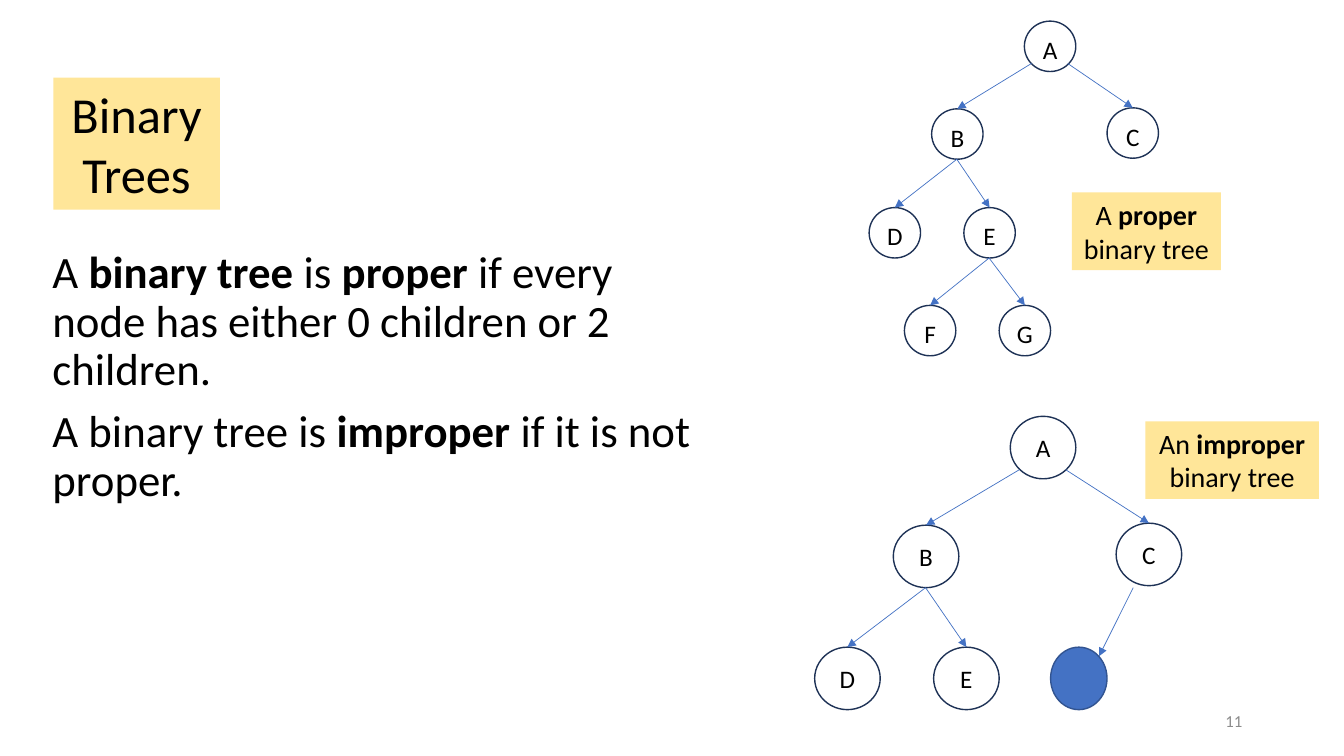
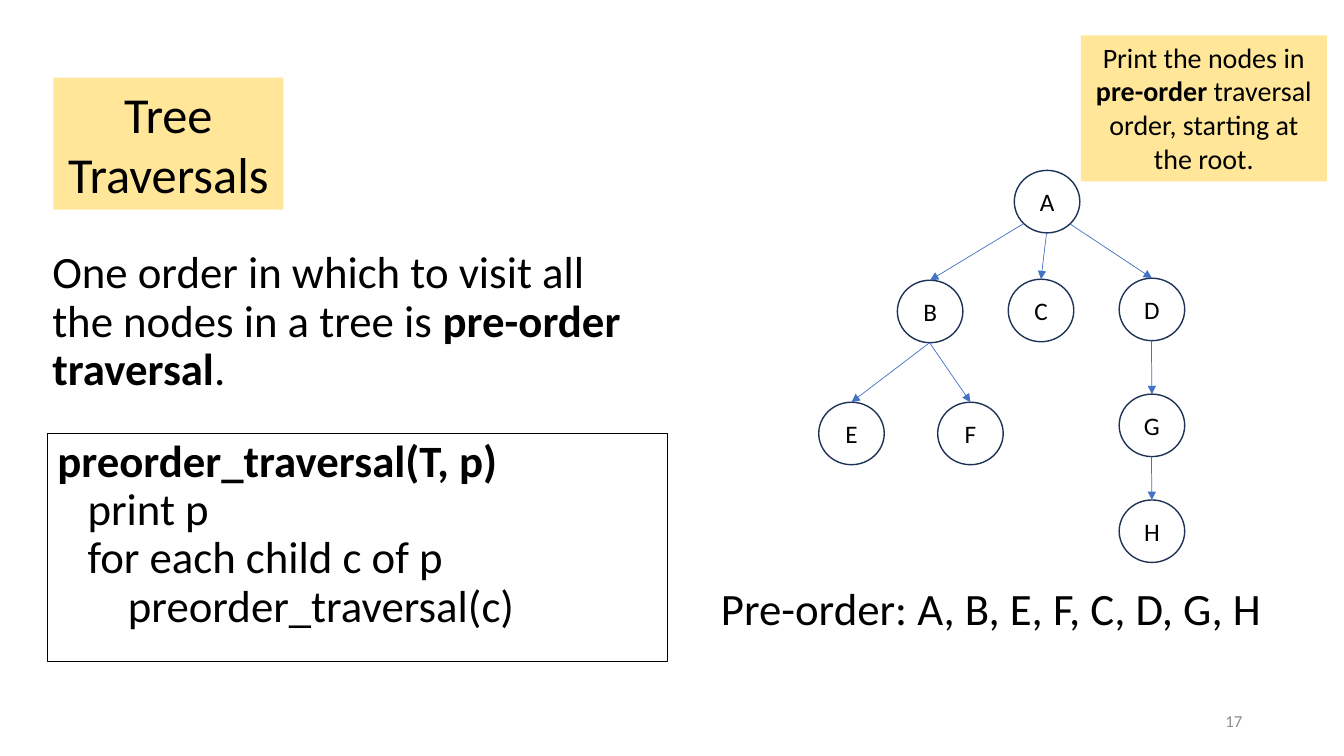
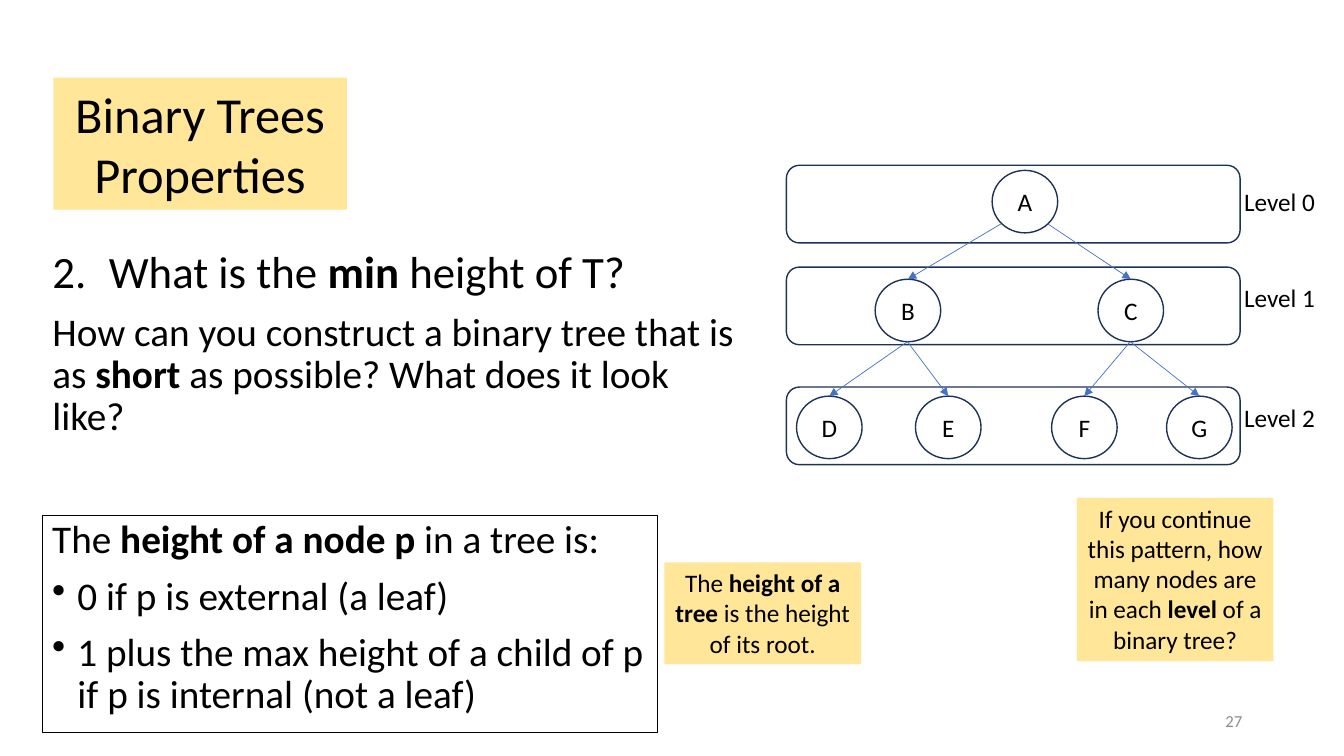
import pptx
import pptx.util
import pptx.dml.color
import pptx.enum.shapes
import pptx.enum.text
import pptx.oxml
import pptx.oxml.ns

# Shared settings: 100 px to the inch
PX = 9144
FONT = "Calibri"
HUES = {"text": "000000", "note": "FFE699", "node": "1E3256", "link": "4472C4",
        "rim": "325491", "page": "8C8C8C"}
Pt = pptx.util.Pt
Hue = pptx.dml.color.RGBColor.from_string
Kind = pptx.enum.shapes.MSO_SHAPE
Side = pptx.enum.text.PP_ALIGN
Hold = pptx.enum.text.MSO_ANCHOR
qn = pptx.oxml.ns.qn
NS = pptx.oxml.ns.nsdecls("a")

# Paragraph and frame formats by role
PARAS = {
    "body": {"alignment": Side.LEFT, "line_spacing": 0.9, "space_before": Pt(10)},
    "code": {"alignment": Side.LEFT, "line_spacing": 0.9, "space_before": Pt(0)},
    "mid": {"alignment": Side.CENTER, "line_spacing": 1.0, "space_before": Pt(0)},
    "page": {"alignment": Side.RIGHT, "line_spacing": 1.0, "space_before": Pt(0)},
}
FRAME = {"word_wrap": True, "auto_size": pptx.enum.text.MSO_AUTO_SIZE.NONE,
         "vertical_anchor": Hold.TOP}


def write(shape, items, size, role="body", hue="text", **extra):
    """Fill a shape with paragraphs; *stars* mark bold and \\n a line break."""
    frame = shape.text_frame
    for key, value in {**FRAME, **extra}.items():
        setattr(frame, key, value)
    for num, item in enumerate(items):
        item = item if isinstance(item, dict) else {"text": item}
        para = frame.add_paragraph() if num else frame.paragraphs[0]
        for key, value in PARAS[role].items():
            setattr(para, key, value)
        props = para._p.get_or_add_pPr()
        props.set("marL", str(item.get("left", 0) * PX))
        props.set("indent", str(-item.get("hang", 0) * PX))
        mark = item.get("mark", "<a:buNone {}/>").format(NS)
        props.append(pptx.oxml.parse_xml(mark))
        for part, words in enumerate(item["text"].split("*")):
            for row, line in enumerate(words.split("\n")):
                if row:
                    para.add_line_break()
                if line:
                    run = para.add_run()
                    run.text = line
                    look = {"name": FONT, "size": Pt(item.get("size", size)),
                            "bold": part % 2 == 1}
                    for key, value in look.items():
                        setattr(run.font, key, value)
                    run.font.color.rgb = Hue(HUES[hue])


def draw(slide, kind, place, fill=None, line=None, width=1):
    """Add a preset shape with an optional fill and outline."""
    shape = slide.shapes.add_shape(kind, *[n * PX for n in place])
    shape.shadow.inherit = False
    if fill:
        shape.fill.solid()
        shape.fill.fore_color.rgb = Hue(HUES[fill])
    else:
        shape.fill.background()
    if line:
        shape.line.color.rgb = Hue(HUES[line])
        shape.line.width = Pt(width)
    else:
        shape.line.fill.background()
    return shape


deck = pptx.Presentation()
deck.slide_width, deck.slide_height = 1333 * PX, 750 * PX

# Titles, body lists and page numbers
DOT = '<a:buChar {} char="•"/>'
NUM = '<a:buAutoNum {} type="arabicPeriod" startAt="2"/>'
PAGES = [
    ("Binary Trees", 165, "11", (42, 243, 659, 379),
     ["A *binary tree* is *proper* if every node has either 0 children or 2 children.",
      "A binary tree is *improper* if it is not proper."]),
    ("Tree Traversals", 228, "17", (705, 577, 589, 92),
     ["Pre-order: A, B, E, F, C, D, G, H"]),
    ("Binary Trees Properties", 291, "27", (42, 243, 710, 217),
     [{"text": "What is the *min* height of T?", "left": 56, "hang": 56, "mark": NUM},
      {"text": "How can you construct a binary tree that is as *short* as possible? "
               "What does it look like?", "size": 28}]),
]
slides = []
for head, wide, page, place, items in PAGES:
    slide = deck.slides.add_slide(deck.slide_layouts[1])
    slides.append(slide)
    title, body = slide.shapes.title, slide.placeholders[1]
    for shape, spot in ((title, (53, 77, wide, 131)), (body, place)):
        for key, value in zip(("left", "top", "width", "height"), spot):
            setattr(shape, key, value * PX)
    title.fill.solid()
    title.fill.fore_color.rgb = Hue(HUES["note"])
    write(title, [head], 36, "mid")
    write(body, items, 32)
    foot = slide.shapes.add_textbox(*[n * PX for n in (942, 695, 300, 40)])
    write(foot, [page], 12, "page", "page", vertical_anchor=Hold.MIDDLE)
proper, order, short = slides

# Yellow notes
NOTES = [
    (proper, (1063, 191, 148, 77), 20, "A *proper* binary tree"),
    (proper, (1136, 418, 172, 77), 20, "An *improper* binary tree"),
    (order, (1072, 35, 244, 145), 20,
     "Print the nodes in\n*pre-order* traversal order, starting at the root."),
    (short, (659, 558, 195, 101), 18, "The *height of a tree* is the height of its root."),
    (short, (1068, 494, 195, 162), 18,
     "If you continue this pattern, how many nodes are in each *level* of a binary tree?"),
]
for slide, place, size, text in NOTES:
    write(draw(slide, Kind.RECTANGLE, place, "note"), [text], size, "mid")

# Traversal text and code
intro = order.shapes.add_textbox(*[n * PX for n in (42, 243, 589, 158)])
write(intro, ["One order in which to visit all the nodes in a tree is "
              "*pre-order traversal*."], 32)
code = draw(order, Kind.RECTANGLE, (47, 430, 615, 226), line="text", width=0.75)
write(code, ["*preorder_traversal(T, p)*",
             {"text": "print p", "left": 30},
             {"text": "for each child c of p", "left": 30},
             {"text": "preorder_traversal(c)", "left": 70}], 32, "code")

# Height rule
rule = draw(short, Kind.RECTANGLE, (42, 511, 610, 216), line="text", width=0.75)
dot = {"left": 25, "hang": 25, "mark": DOT}
write(rule, ["The *height of a node p* in a tree is:",
             {"text": "0 if p is external (a leaf)", **dot},
             {"text": "1 plus the max height of a child of p\n"
                      "if p is internal (not a leaf)", **dot}], 28)

# Level bands
for level, (top, label) in enumerate(((164, 183), (265, 279), (384, 398))):
    draw(short, Kind.ROUNDED_RECTANGLE, (780, top, 450, 77), line="node")
    tag = short.shapes.add_textbox(*[n * PX for n in (1224, label, 92, 40)])
    write(tag, [f"Level {level}"], 18, "code", word_wrap=False)

# Trees: slide, node size, text drop, node corners, parent-child pairs
TREES = [
    (proper, (51, 50), 6,
     {"A": (1016, 21), "B": (924, 108), "C": (1098, 107), "D": (862, 206),
      "E": (956, 206), "F": (897, 303), "G": (991, 303)}, "AB AC BD BE EF EG"),
    (proper, (65, 62), 0,
     {"A": (1002, 413), "B": (886, 521), "C": (1107, 519), "D": (808, 642),
      "E": (926, 642)}, "AB AC BD BE"),
    (order, (65, 62), 0,
     {"A": (1006, 169), "B": (890, 278), "C": (1000, 277), "D": (1110, 276),
      "E": (812, 399), "F": (930, 399), "G": (1110, 391), "H": (1110, 496)},
     "AB AC AD BE BF DG GH"),
    (short, (65, 62), 0,
     {"A": (984, 169), "B": (868, 277), "C": (1089, 277), "D": (790, 393),
      "E": (908, 393), "F": (1043, 393), "G": (1157, 393)}, "AB AC BD BE CF CG"),
]
links = []
for slide, (wide, high), drop, nodes, pairs in TREES:
    rings = {}
    for name, spot in nodes.items():
        ring = draw(slide, Kind.OVAL, (*spot, wide, high), line="node")
        write(ring, [name], 18, "mid", word_wrap=False, vertical_anchor=Hold.MIDDLE,
              margin_top=drop * PX, margin_bottom=0, margin_left=0, margin_right=0)
        rings[name] = ring
    for up, down in pairs.split():
        (left, top), (goal, floor) = nodes[up], nodes[down]
        start = [left + wide // 2, top + high]
        gap = goal - left
        # The root's outer links leave from its lower left and lower right
        if up == "A" and abs(gap) > 30:
            start[0] += round(wide * 0.35) * (1 if gap > 0 else -1)
            start[1] -= round(high * 0.15)
        links.append((slide, start, (goal + wide // 2, floor), rings[down]))

# The lone child that makes the second tree improper
draw(proper, Kind.OVAL, (1042, 642, 56, 62), "link", "rim")
links.append((proper, (1124, 583), (1090, 651), None))

# Arrows
for slide, start, end, ring in links:
    link = slide.shapes.add_connector(pptx.enum.shapes.MSO_CONNECTOR.STRAIGHT,
                                      *[n * PX for n in (*start, *end)])
    if ring is not None:
        link.end_connect(ring, 0)
    link.line.color.rgb = Hue(HUES["link"])
    link.line.width = Pt(0.5)
    props = link._element.spPr
    props.find(qn("a:ln")).append(
        pptx.oxml.parse_xml(f'<a:tailEnd {NS} type="triangle"/>'))
    props.append(pptx.oxml.parse_xml(f"<a:effectLst {NS}/>"))

deck.save("out.pptx")
